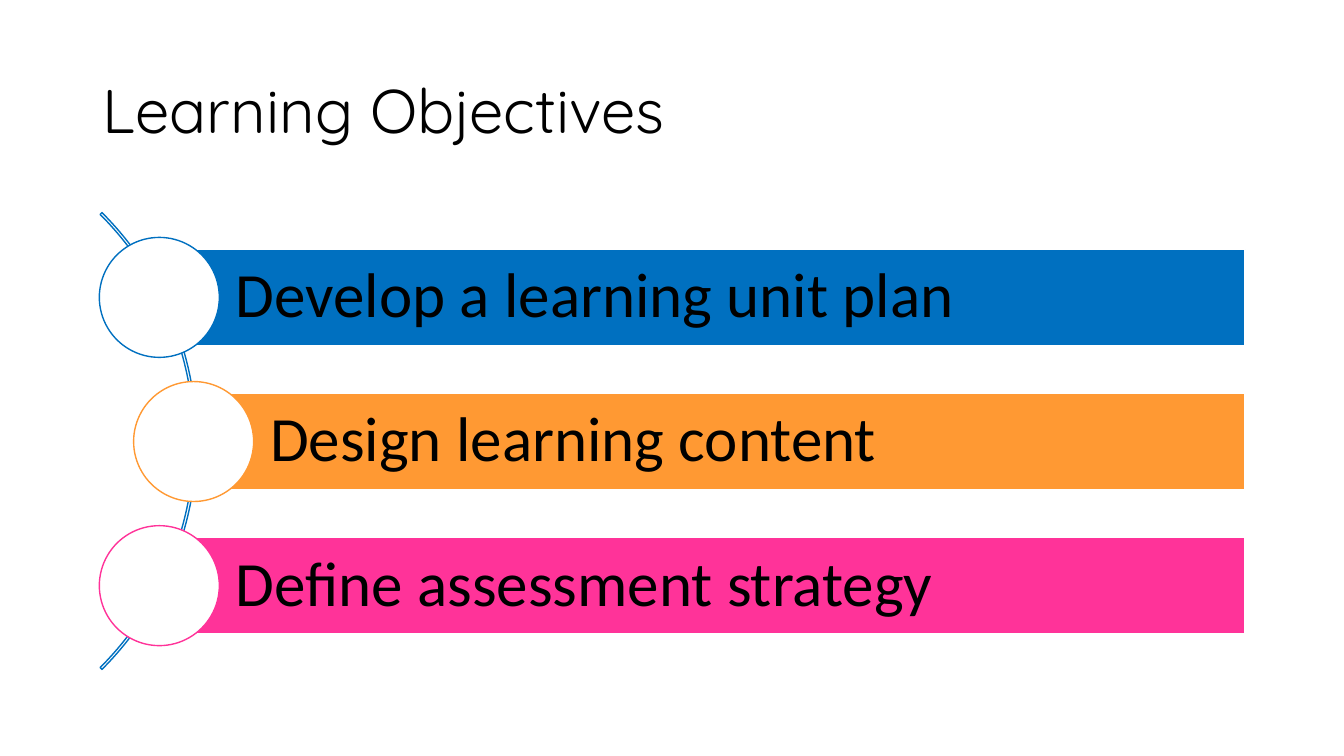
from dataclasses import dataclass

from pptx import Presentation
from pptx import util as u
from pptx.dml.color import RGBColor
from pptx.enum import shapes, text


@dataclass(frozen=True)
class Theme:
    """Colours, fonts and type sizes of the slide."""
    ink: str = "000000"
    paper: str = "FFFFFF"
    arc: str = "0070C0"
    accents: tuple = ("0070C0", "FF9933", "FF3399")
    title_font: str = "Quicksand"
    body_font: str = "Calibri"
    title_size: int = 44
    body_size: int = 45
    line_width: int = 1


class ObjectivesSlide:
    """Draws the elements of the objectives slide in one theme."""

    def __init__(self, slide, theme):
        self.slide = slide
        self.theme = theme

    def shape(self, kind, left, top, width, height, fill, line):
        """Add a preset shape, unfilled when fill is None."""
        shape = self.slide.shapes.add_shape(
            kind, *map(u.Inches, (left, top, width, height)))
        shape.shadow.inherit = False
        if fill:
            shape.fill.solid()
            shape.fill.fore_color.rgb = RGBColor.from_string(fill)
        else:
            shape.fill.background()
        shape.line.color.rgb = RGBColor.from_string(line)
        shape.line.width = u.Pt(self.theme.line_width)
        return shape

    def label(self, frame, wording, font, size):
        """Set one left-aligned line, centred vertically."""
        frame.word_wrap = True
        frame.vertical_anchor = text.MSO_ANCHOR.MIDDLE
        paragraph = frame.paragraphs[0]
        paragraph.alignment = text.PP_ALIGN.LEFT
        paragraph.line_spacing = 0.9
        run = paragraph.add_run()
        run.text = wording
        run.font.name = font
        run.font.size = u.Pt(size)
        run.font.color.rgb = RGBColor.from_string(self.theme.ink)

    def title(self, wording, left, top, width, height):
        """Add the slide title."""
        title = self.slide.shapes.add_textbox(
            *map(u.Inches, (left, top, width, height)))
        self.label(title.text_frame, wording, self.theme.title_font, self.theme.title_size)

    def arc(self, left, top, size):
        """Add the thin arc that links the objectives."""
        arc = self.shape(shapes.MSO_SHAPE.BLOCK_ARC, left, top, size, size,
                         None, self.theme.arc)
        for index, value in enumerate((189, 27, 0.004)):
            arc.adjustments[index] = value

    def objective(self, wording, accent, center_x, center_y,
                  right=12.35, bar_height=0.95, diameter=1.19):
        """Add a labelled bar with a circle centred on its left end."""
        bar = self.shape(shapes.MSO_SHAPE.RECTANGLE, center_x, center_y - bar_height / 2,
                         right - center_x, bar_height, accent, self.theme.paper)
        frame = bar.text_frame
        frame.margin_left = u.Inches(0.76)
        frame.margin_top = frame.margin_right = frame.margin_bottom = u.Inches(0.12)
        self.label(frame, wording, self.theme.body_font, self.theme.body_size)
        self.shape(shapes.MSO_SHAPE.OVAL, center_x - diameter / 2, center_y - diameter / 2,
                   diameter, diameter, self.theme.paper, accent)


def main():
    """Build and save the slide."""
    deck = Presentation()
    deck.slide_width, deck.slide_height = u.Inches(13.33), u.Inches(7.5)
    theme = Theme()
    page = ObjectivesSlide(deck.slides.add_slide(deck.slide_layouts[6]), theme)

    page.title("Learning Objectives", 0.92, 0.4, 11.5, 1.45)
    page.arc(-4.46, 1.17, 6.41)
    objectives = (
        ("Develop a learning unit plan", 1.58),
        ("Design learning content", 1.92),
        ("Define assessment strategy", 1.58),
    )
    first_center, pitch = 2.95, 1.43
    for row, ((wording, center_x), accent) in enumerate(zip(objectives, theme.accents)):
        page.objective(wording, accent, center_x, first_center + row * pitch)

    deck.save("out.pptx")


if __name__ == "__main__":
    main()
